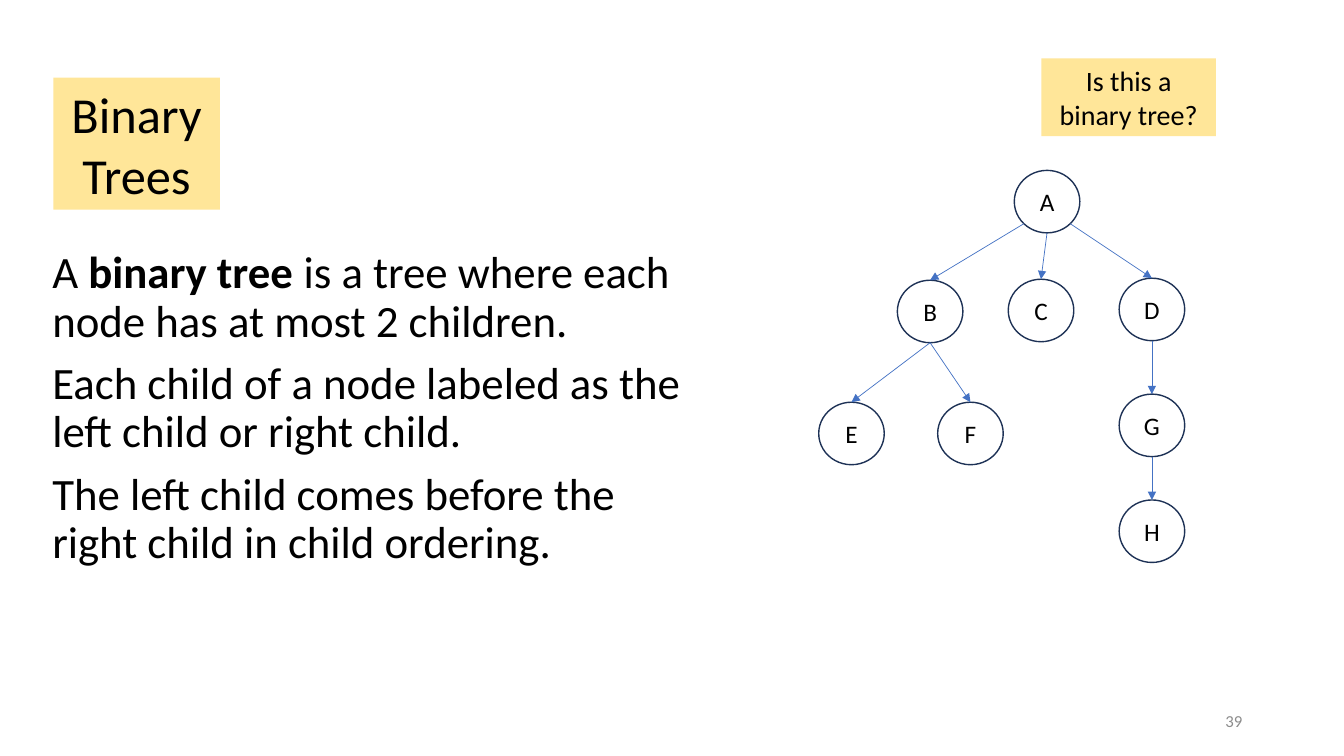
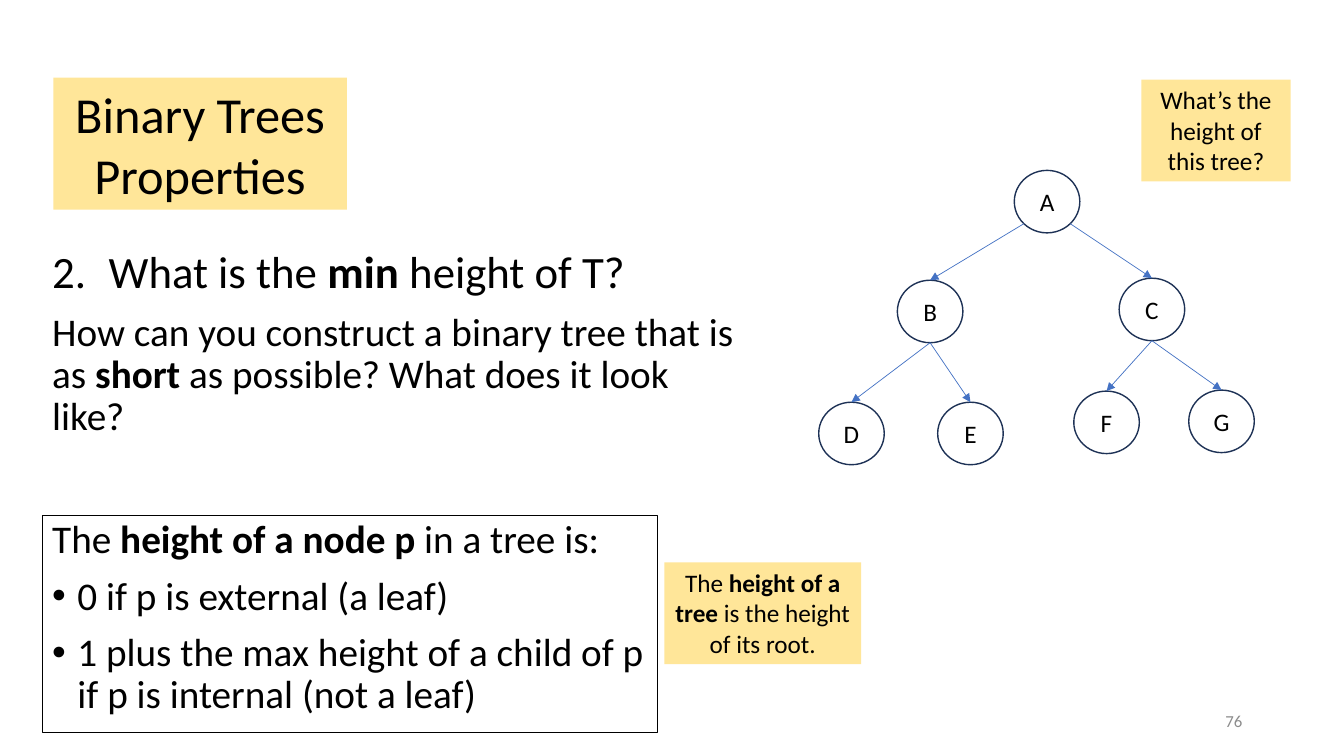
from lxml import etree
from pptx import Presentation
from pptx.dml.color import RGBColor
from pptx.enum.shapes import MSO_CONNECTOR, MSO_SHAPE
from pptx.enum.text import MSO_ANCHOR, MSO_AUTO_SIZE, PP_ALIGN
from pptx.oxml.ns import qn
from pptx.util import Inches, Pt

LEFT, CENTER, RIGHT = PP_ALIGN.LEFT, PP_ALIGN.CENTER, PP_ALIGN.RIGHT
MIDDLE, NO_AUTOFIT = MSO_ANCHOR.MIDDLE, MSO_AUTO_SIZE.NONE
OVAL, STRAIGHT = MSO_SHAPE.OVAL, MSO_CONNECTOR.STRAIGHT

FONT = "Calibri"
BLACK, GRAY, YELLOW, NAVY, BLUE = "000000", "8C8C8C", "FFE699", "1E3256", "4472C4"
NODE_WIDTH, NODE_HEIGHT = 0.65, 0.62
DIAGONAL = 0.354  # half of cos 45°, as a share of a node's width or height

# Node places (left, top) that both trees use
ROOT = (10.06, 1.69)
LEFT_CHILD, RIGHT_CHILD = (8.9, 2.78), (11.1, 2.76)
LEFT_LEAVES = [(8.12, 3.99), (9.3, 3.99)]

# Paragraphs are (text, size, bullet); ** surrounds bold words, an integer bullet is a number.
# Boxes are (place, paragraphs, line colour); callouts are (place, text, size).
SLIDES = [
    {
        "title": "Binary Trees", "title_width": 1.65, "number": "39",
        "boxes": [((0.42, 2.43, 6.59, 3.79), [
            ("A **binary tree **is a tree where each node has at most 2 children.", 32, None),
            ("Each child of a node labeled as the left child or right child.", 32, None),
            ("The left child comes before the right child in child ordering.", 32, None),
        ], None)],
        "callouts": [((10.33, 0.58, 1.73, 0.77), "Is this a binary tree?", 20)],
        "nodes": {"A": ROOT, "B": LEFT_CHILD, "C": (10, 2.77), "D": RIGHT_CHILD,
                  "E": LEFT_LEAVES[0], "F": LEFT_LEAVES[1],
                  "G": (11.1, 3.91), "H": (11.1, 4.96)},
        "edges": ["AB", "AC", "AD", "BE", "BF", "DG", "GH"],
    },
    {
        "title": "Binary Trees Properties", "title_width": 2.91, "number": "76",
        "boxes": [
            ((0.42, 2.43, 7.1, 2.17), [
                ("What is the **min** height of T?", 32, 2),
                ("How can you construct a binary tree that is as **short** as possible? "
                 "What does it look like?", 28, None),
            ], None),
            ((0.42, 5.11, 6.1, 2.16), [
                ("The **height of a node p **in a tree is:", 28, None),
                ("0 if p is external (a leaf)", 28, "•"),
                ("1 plus the max height of a child of p\nif p is internal (not a leaf)", 28, "•"),
            ], BLACK),
        ],
        "callouts": [
            ((6.59, 5.58, 1.95, 1.01), "The **height of a tree **is the height of its root.", 18),
            ((11.32, 0.79, 1.48, 1.01), "What’s the height of this tree?", 18),
        ],
        "nodes": {"A": ROOT, "B": LEFT_CHILD, "C": RIGHT_CHILD,
                  "D": LEFT_LEAVES[0], "E": LEFT_LEAVES[1],
                  "F": (10.65, 3.88), "G": (11.79, 3.87)},
        "edges": ["AB", "AC", "BD", "BE", "CF", "CG"],
    },
]


def rgb(value):
    return RGBColor.from_string(value)


def write(shape, paragraphs, align=LEFT, color=BLACK, spacing=1.0):
    frame = shape.text_frame
    frame.word_wrap = True
    frame.auto_size = NO_AUTOFIT
    for index, (text, size, bullet) in enumerate(paragraphs):
        para = frame.add_paragraph() if index else frame.paragraphs[0]
        pieces = text.split("**")
        para.text = pieces[0]
        for piece in pieces[1:]:
            para.add_run().text = piece
        if bullet:
            properties = para._p.get_or_add_pPr()
            numbered = isinstance(bullet, int)
            indent = Inches(0.56 if numbered else 0.25)
            properties.set("marL", str(indent))
            properties.set("indent", str(-indent))
            if numbered:
                etree.SubElement(properties, qn("a:buAutoNum"),
                                 type="arabicPeriod", startAt=str(bullet))
            else:
                etree.SubElement(properties, qn("a:buFont"), typeface="Arial")
                etree.SubElement(properties, qn("a:buChar"), char=bullet)
        para.alignment = align
        para.line_spacing = spacing
        if index:
            para.space_before = Pt(10)
        for position, span in enumerate(para.runs):
            span.font.name = FONT
            span.font.size = Pt(size)
            span.font.color.rgb = rgb(color)
            if len(pieces) > 1:
                span.font.bold = position % 2 == 1


deck = Presentation()
deck.slide_width, deck.slide_height = Inches(13.33), Inches(7.5)
title_only = deck.slide_layouts[5]

for content in SLIDES:
    page = deck.slides.add_slide(title_only)

    # Title
    title = page.shapes.title
    title.left, title.top = Inches(0.53), Inches(0.77)
    title.width, title.height = Inches(content["title_width"]), Inches(1.31)
    title.fill.solid()
    title.fill.fore_color.rgb = rgb(YELLOW)
    write(title, [(content["title"], 36, None)], CENTER)

    # Body text
    for place, paragraphs, line_color in content["boxes"]:
        box = page.shapes.add_textbox(*map(Inches, place))
        if line_color:
            box.line.color.rgb = rgb(line_color)
            box.line.width = Pt(0.75)
        write(box, paragraphs, spacing=0.9)

    # Tree nodes
    nodes = {}
    for letter, (left, top) in content["nodes"].items():
        node = page.shapes.add_shape(OVAL, Inches(left), Inches(top),
                                     Inches(NODE_WIDTH), Inches(NODE_HEIGHT))
        node.shadow.inherit = False
        node.fill.background()
        node.line.color.rgb = rgb(NAVY)
        node.line.width = Pt(1)
        frame = node.text_frame
        frame.margin_left = frame.margin_right = frame.margin_top = frame.margin_bottom = 0
        frame.vertical_anchor = MIDDLE
        write(node, [(letter, 18, None)], CENTER)
        nodes[letter] = node

    # Tree edges: the root's outer children hang from its lower diagonals
    for parent, child in content["edges"]:
        left, top = content["nodes"][parent]
        gap = content["nodes"][child][0] - left
        start_x, start_y = left + NODE_WIDTH / 2, top + NODE_HEIGHT
        if parent == "A" and abs(gap) > NODE_WIDTH:
            start_x += DIAGONAL * NODE_WIDTH * (1 if gap > 0 else -1)
            start_y = top + NODE_HEIGHT * (0.5 + DIAGONAL)
        edge = page.shapes.add_connector(STRAIGHT, Inches(start_x), Inches(start_y),
                                         Inches(start_x), Inches(start_y))
        edge.end_connect(nodes[child], 0)
        edge.line.color.rgb = rgb(BLUE)
        edge.line.width = Pt(0.5)
        etree.SubElement(edge.line._get_or_add_ln(), qn("a:tailEnd"), type="triangle")
        etree.SubElement(edge._element.spPr, qn("a:effectLst"))

    # Callouts
    for place, text, size in content["callouts"]:
        callout = page.shapes.add_textbox(*map(Inches, place))
        callout.fill.solid()
        callout.fill.fore_color.rgb = rgb(YELLOW)
        write(callout, [(text, size, None)], CENTER)

    # Page number
    number = page.shapes.add_textbox(Inches(9.42), Inches(6.95), Inches(3), Inches(0.4))
    number.text_frame.vertical_anchor = MIDDLE
    write(number, [(content["number"], 12, None)], RIGHT, GRAY)

deck.save("out.pptx")
